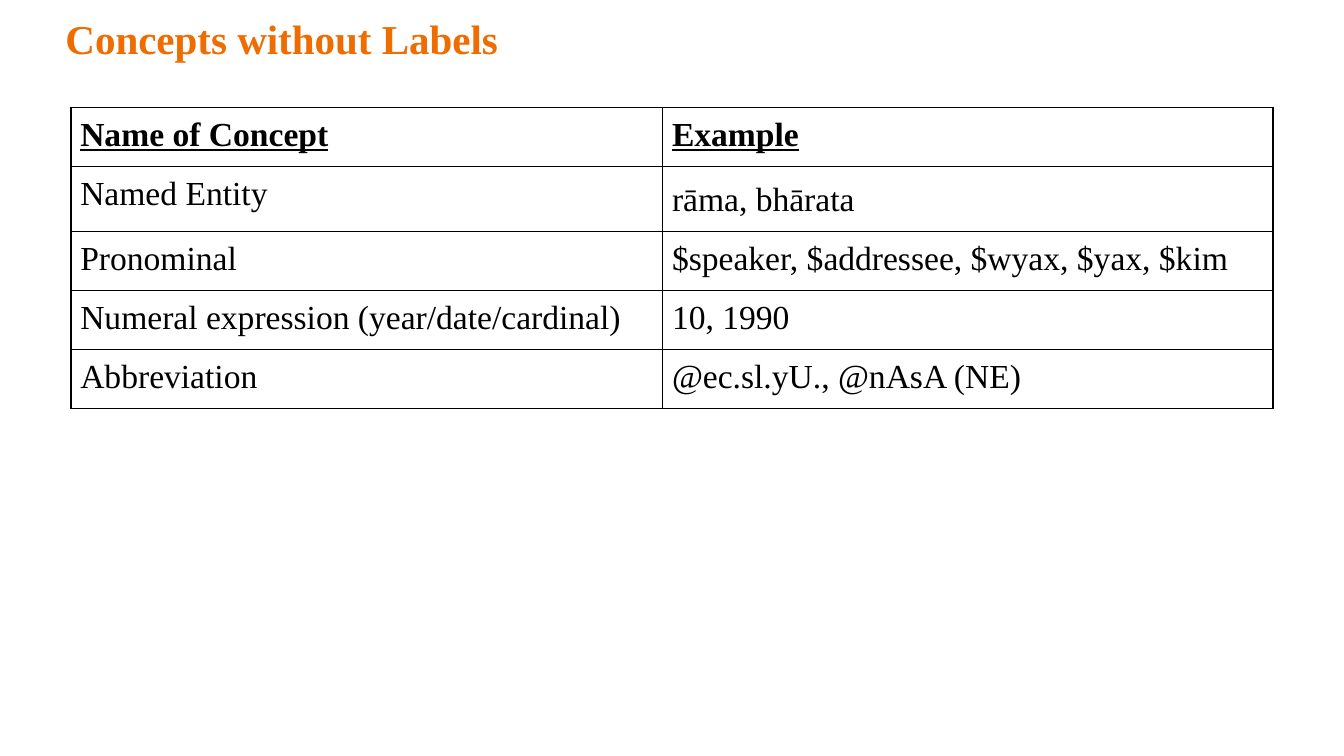
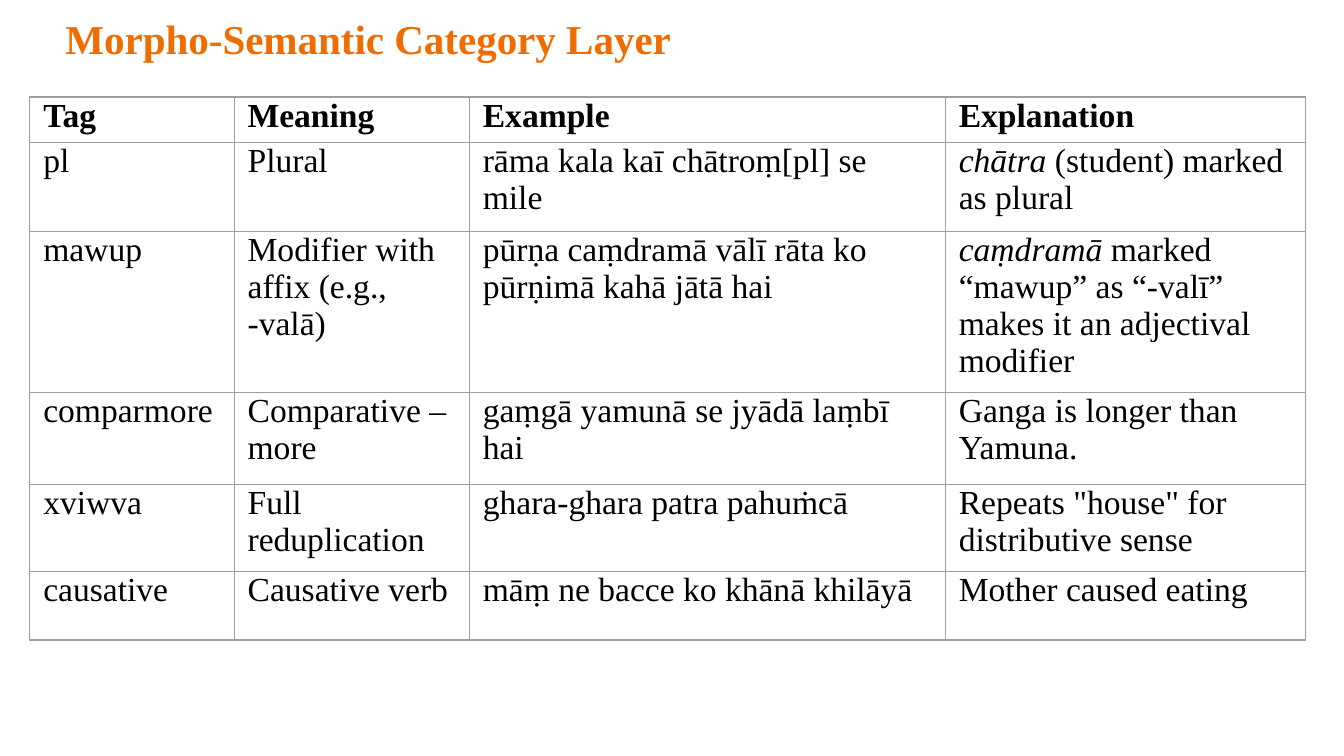
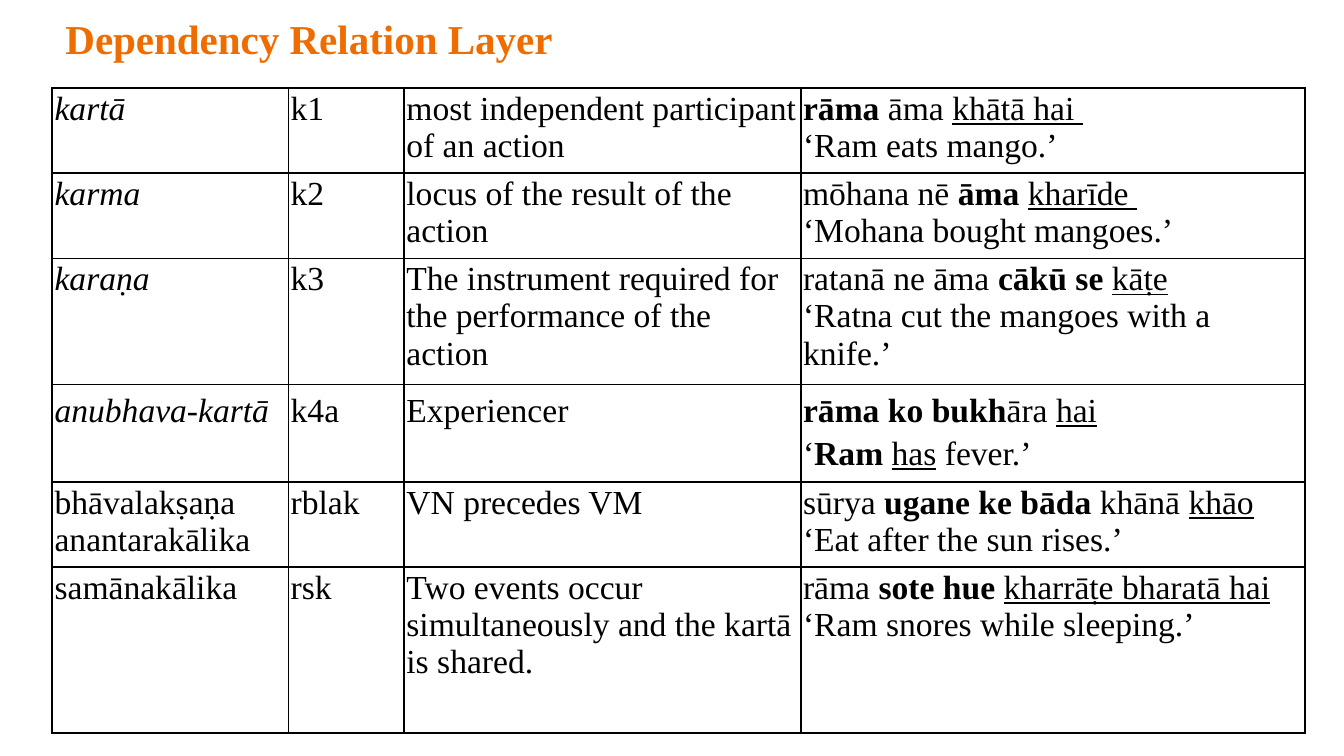
from lxml.etree import SubElement
from pptx import Presentation
from pptx.dml.color import RGBColor
from pptx.enum.text import MSO_AUTO_SIZE, PP_ALIGN
from pptx.oxml.ns import qn
from pptx.util import Pt

FONT = "Times New Roman"
ORANGE = "EF6C00"
BLACK = "000000"
GRAY = "9E9E9E"
BOLD = {"bold": True}
ITALIC = {"italic": True}
UNDERLINE = {"underline": True}
LOOSE = {"line_spacing": 1.15}
LOOSE_JUSTIFIED = {"line_spacing": 1.15, "alignment": PP_ALIGN.JUSTIFY}

CONCEPTS = [
    ["Name of Concept", "Example"],
    ["Named Entity", "rāma, bhārata"],
    ["Pronominal", "$speaker, $addressee, $wyax, $yax, $kim"],
    ["Numeral expression (year/date/cardinal)", "10, 1990"],
    ["Abbreviation", "@ec.sl.yU., @nAsA (NE)"],
]

CATEGORIES = [
    ["Tag", "Meaning", "Example", "Explanation"],
    ["pl", "Plural", "rāma kala kaī chātroṃ[pl] se mile",
     [[("chātra ", ITALIC), "(student) marked as plural"]]],
    ["mawup", "Modifier with affix (e.g., -valā)",
     "pūrṇa caṃdramā vālī rāta ko pūrṇimā kahā jātā hai",
     [[("caṃdramā ", ITALIC),
       "marked “mawup” as “-valī” makes it an adjectival modifier"]]],
    ["comparmore", "Comparative – more", "gaṃgā yamunā se jyādā laṃbī hai",
     "Ganga is longer than Yamuna."],
    ["xviwva", "Full reduplication", "ghara-ghara patra pahuṁcā",
     'Repeats "house" for distributive sense'],
    ["causative", "Causative verb", "māṃ ne bacce ko khānā khilāyā",
     "Mother caused eating"],
]

RELATIONS = [
    [[[("kartā", ITALIC)]], "k1", "most independent participant of an action",
     [[("rāma", BOLD), " āma ", ("khātā hai ", UNDERLINE), " "],
      ["‘Ram eats mango.’"]]],
    [[[("karma", ITALIC)]], "k2", "locus of the result of the action",
     [["mōhana nē", (" āma", BOLD), " ", ("kharīde ", UNDERLINE), " "],
      ["‘Mohana bought mangoes.’"]]],
    [[[("karaṇa", ITALIC)]], "k3",
     "The instrument required for the performance of the action",
     [["ratanā ne āma ", ("cākū se", BOLD), " ", ("kāṭe", UNDERLINE)],
      ["‘Ratna cut the mangoes with a knife.’"]]],
    [[[("anubhava-kartā", ITALIC)]], "k4a", "Experiencer",
     [[("rāma ko bukh", BOLD), "āra ", ("hai", UNDERLINE)],
      ["‘", ("Ram ", BOLD), ("has", UNDERLINE), " fever.’"]]],
    ["bhāvalakṣaṇa anantarakālika", "rblak", "VN precedes VM",
     [["sūrya", (" ugane ke bāda", BOLD), " khānā ", ("khāo", UNDERLINE)],
      ["‘Eat after the sun rises.’"]]],
    ["samānakālika", "rsk",
     "Two events occur simultaneously and the kartā is shared.",
     [["rāma ", ("sote hue ", BOLD), ("kharrāṭe bharatā hai", UNDERLINE)],
      ["‘Ram snores while sleeping.’"]]],
]


def color(value):
    return RGBColor.from_string(value)


def set_format(target, values):
    for name, value in values.items():
        setattr(target, name, value)


def set_margins(target, horizontal, vertical):
    set_format(target, {
        "margin_left": Pt(horizontal), "margin_right": Pt(horizontal),
        "margin_top": Pt(vertical), "margin_bottom": Pt(vertical),
    })


def add_run(paragraph, text, size, text_color, style):
    run = paragraph.add_run()
    run.text = text
    set_format(run.font, {"name": FONT, "size": Pt(size), **style})
    run.font.color.rgb = color(text_color)


def add_title(slide, text):
    shape = slide.shapes.add_textbox(Pt(28), Pt(0), Pt(654), Pt(41))
    frame = shape.text_frame
    set_format(frame, {"word_wrap": True,
                       "auto_size": MSO_AUTO_SIZE.SHAPE_TO_FIT_TEXT})
    set_margins(frame, 7.2, 7.2)
    add_run(frame.paragraphs[0], text, 22, ORANGE, BOLD)


def add_borders(cell, border_color, width):
    properties = cell._tc.get_or_add_tcPr()
    for side in ("lnL", "lnR", "lnT", "lnB"):
        line = SubElement(properties, qn(f"a:{side}"), w=str(Pt(width)))
        fill = SubElement(line, qn("a:solidFill"))
        SubElement(fill, qn("a:srgbClr"), val=border_color)


def fill_cell(cell, content, style, paragraph_format):
    lines = [[content]] if isinstance(content, str) else content
    frame = cell.text_frame
    for index, line in enumerate(lines):
        paragraph = frame.add_paragraph() if index else frame.paragraphs[0]
        set_format(paragraph, paragraph_format)
        for part in line:
            text, emphasis = (part, {}) if isinstance(part, str) else part
            add_run(paragraph, text, 18, BLACK, {**style, **emphasis})


def add_grid(slide, rows, position, widths, heights, margins, border,
             header_style=None, paragraph_formats=None):
    left, top = position
    table = slide.shapes.add_table(
        len(rows), len(widths), Pt(left), Pt(top),
        Pt(sum(widths)), Pt(sum(heights))).table
    set_format(table, {"first_row": False, "horz_banding": False})
    for column, width in zip(table.columns, widths):
        column.width = Pt(width)
    for row, height in zip(table.rows, heights):
        row.height = Pt(height)
    for row_index, row in enumerate(rows):
        style = {} if row_index else header_style or {}
        for column_index, content in enumerate(row):
            cell = table.cell(row_index, column_index)
            set_margins(cell, *margins)
            add_borders(cell, *border)
            cell.fill.background()
            paragraph_format = (paragraph_formats or {}).get(
                (row_index, column_index), {})
            fill_cell(cell, content, style, paragraph_format)


def add_titled_slide(presentation, title):
    slide = presentation.slides.add_slide(presentation.slide_layouts[6])
    add_title(slide, title)
    return slide


def main():
    presentation = Presentation()
    set_format(presentation, {"slide_width": Pt(720), "slide_height": Pt(405)})

    slide = add_titled_slide(presentation, "Concepts without Labels")
    add_grid(slide, CONCEPTS, (38, 57.5), [317, 327], [30.25] * 5,
             (5, 5), (BLACK, 1), {**BOLD, **UNDERLINE}, {(1, 1): LOOSE})

    slide = add_titled_slide(presentation, "Morpho-Semantic Category Layer")
    add_grid(slide, CATEGORIES, (16, 52), [109.5, 126, 255, 193],
             [24.5, 47.5, 50.5, 49, 47, 36.5], (7.2, 0), (GRAY, 0.75), BOLD)

    slide = add_titled_slide(presentation, "Dependency Relation Layer")
    add_grid(slide, RELATIONS, (28, 47), [126.5, 62, 212.5, 270],
             [45.5, 45.5, 67.5, 49.5, 45.5, 89], (1.25, 1.25), (BLACK, 1),
             paragraph_formats={(3, column): LOOSE_JUSTIFIED
                                for column in range(4)})

    presentation.save("out.pptx")


if __name__ == "__main__":
    main()
